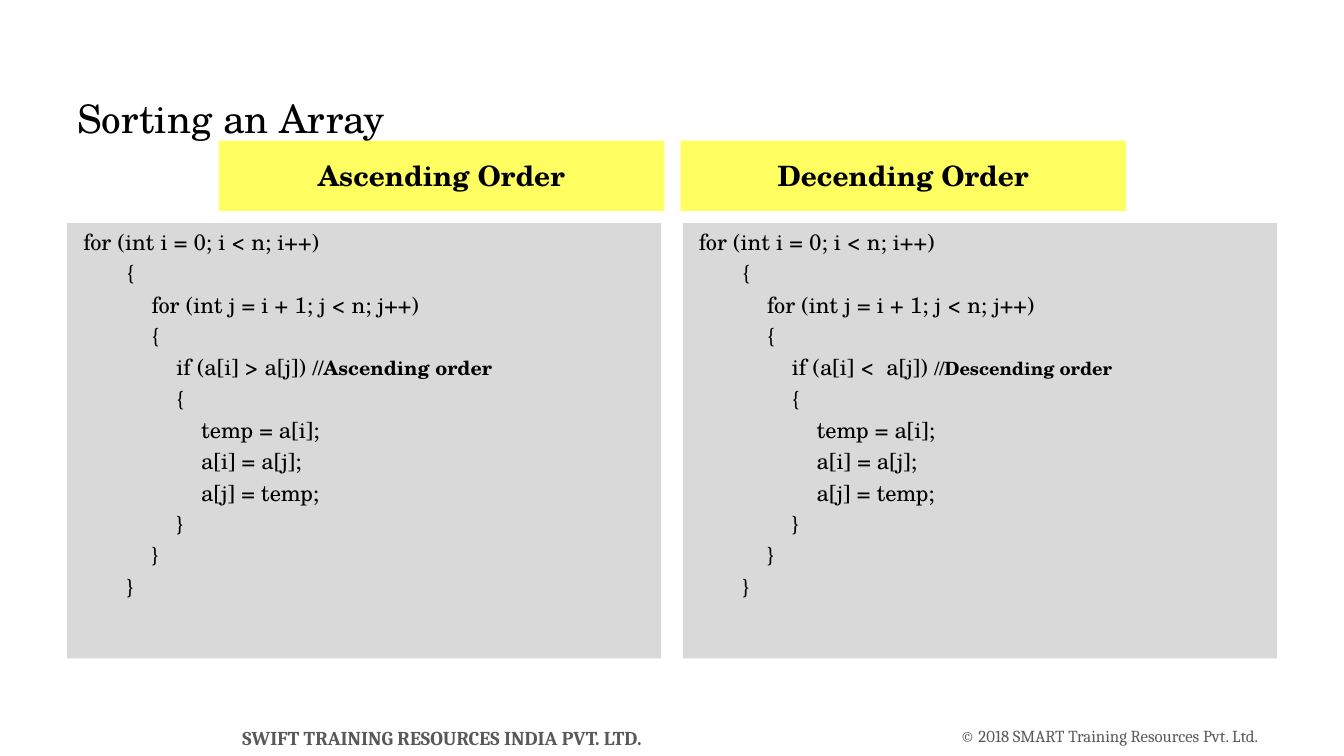
"""Build the slide that compares ascending and descending array sorts."""
from dataclasses import dataclass

import pptx
import pptx.dml.color
import pptx.enum.shapes
import pptx.enum.text
import pptx.util

ALIGN = pptx.enum.text.PP_ALIGN
ANCHOR = pptx.enum.text.MSO_ANCHOR


@dataclass(frozen=True)
class Theme:
    """Fonts, colours and type sizes of the slide."""
    body: str = "TeX Gyre Schola"
    footer: str = "Cambria"
    ink: str = "000000"
    muted: str = "595959"
    yellow: str = "FFFF61"
    grey: str = "D9D9D9"
    title_size: int = 28
    heading_size: int = 20
    code_size: int = 16
    space_share: float = 0.2


@dataclass(frozen=True)
class Box:
    """A rectangle in percent of the slide's width and height."""
    left: float
    top: float
    width: float
    height: float


@dataclass(frozen=True)
class Sort:
    """One sorting direction with its heading and code."""
    heading: str
    heading_left: float
    code_left: float
    test: str
    comment: str
    comment_size: int


@dataclass(frozen=True)
class Footer:
    """One line of text at the foot of the slide."""
    text: str
    box: Box
    size: int
    bold: bool


THEME = Theme()
TITLE_BOX = Box(5, 11.1, 90, 8.9)
HEADING_TOP, HEADING_WIDTH, HEADING_HEIGHT = 18.6, 33.15, 9.3
CODE_TOP, CODE_WIDTH, CODE_HEIGHT = 29.5, 44.2, 57.6

SORTS = [
    Sort("Ascending Order", 16.28, 5, "if (a[i] > a[j]) ", "//Ascending order", 14),
    Sort("Decending Order", 50.63, 50.8, "if (a[i] <  a[j]) ", "//Descending order", 13),
]
FOOTERS = [
    Footer("SWIFT TRAINING RESOURCES INDIA PVT. LTD.", Box(8.3, 96, 49.2, 3.2), 14, True),
    Footer("© 2018 SMART Training Resources Pvt. Ltd.", Box(70.6, 96, 23.9, 2.7), 12, False),
]


def code_lines(test: str) -> list[str]:
    """Return the nested loops around the given test, indented by depth."""
    steps = [(2, "{"), (3, "for (int j = i + 1; j < n; j++)"), (3, "{"), (4, test), (4, "{"),
             (5, "temp = a[i];"), (5, "a[i] = a[j];"), (5, "a[j] = temp;"),
             (4, "}"), (3, "}"), (2, "}")]
    return [" for (int i = 0; i < n; i++)"] + [" " * 4 * depth + code for depth, code in steps]


def place(prs, box: Box) -> tuple[int, int, int, int]:
    """Turn percentages into slide lengths."""
    w, h = prs.slide_width, prs.slide_height
    return (int(w * box.left / 100), int(h * box.top / 100),
            int(w * box.width / 100), int(h * box.height / 100))


def style(r, size: float, font: str = THEME.body, colour: str = THEME.ink,
          bold: bool = False) -> None:
    """Format one run."""
    r.font.name = font
    r.font.size = pptx.util.Pt(size)
    r.font.bold = bold
    r.font.color.rgb = pptx.dml.color.RGBColor.from_string(colour)


def add_panel(prs, s, box: Box, fill: str, anchor):
    """Add a filled rectangle and return its text frame."""
    sp = s.shapes.add_shape(pptx.enum.shapes.MSO_SHAPE.RECTANGLE, *place(prs, box))
    sp.shadow.inherit = False
    sp.fill.solid()
    sp.fill.fore_color.rgb = pptx.dml.color.RGBColor.from_string(fill)
    sp.line.fill.background()
    tf = sp.text_frame
    tf.word_wrap = True
    tf.vertical_anchor = anchor
    return tf


def add_title(prs, s, text: str) -> None:
    """Fill, move and format the title placeholder."""
    sp = s.shapes.title
    sp.left, sp.top, sp.width, sp.height = place(prs, TITLE_BOX)
    tf = sp.text_frame
    tf.text = text
    tf.vertical_anchor = ANCHOR.MIDDLE
    tf.auto_size = pptx.enum.text.MSO_AUTO_SIZE.NONE
    p = tf.paragraphs[0]
    p.alignment = ALIGN.LEFT
    style(p.runs[0], THEME.title_size)


def add_sort(prs, s, sort: Sort) -> None:
    """Add the heading and the code panel of one direction."""
    heading = Box(sort.heading_left, HEADING_TOP, HEADING_WIDTH, HEADING_HEIGHT)
    tf = add_panel(prs, s, heading, THEME.yellow, ANCHOR.MIDDLE)
    tf.text = sort.heading
    p = tf.paragraphs[0]
    p.alignment = ALIGN.CENTER
    style(p.runs[0], THEME.heading_size, bold=True)

    panel = Box(sort.code_left, CODE_TOP, CODE_WIDTH, CODE_HEIGHT)
    tf = add_panel(prs, s, panel, THEME.grey, ANCHOR.TOP)
    for i, line in enumerate(code_lines(sort.test)):
        p = tf.add_paragraph() if i else tf.paragraphs[0]
        p.text = line
        p.alignment = ALIGN.LEFT
        if i:
            p.space_before = pptx.util.Pt(THEME.code_size * THEME.space_share)
        style(p.runs[0], THEME.code_size)
        if line.endswith(sort.test):
            r = p.add_run()
            r.text = sort.comment
            style(r, sort.comment_size, bold=True)


def add_footer(prs, s, footer: Footer) -> None:
    """Add one centred footer line."""
    tf = s.shapes.add_textbox(*place(prs, footer.box)).text_frame
    tf.margin_left = tf.margin_right = tf.margin_top = tf.margin_bottom = 0
    tf.vertical_anchor = ANCHOR.MIDDLE
    tf.word_wrap = footer.bold
    tf.text = footer.text
    p = tf.paragraphs[0]
    p.alignment = ALIGN.CENTER
    style(p.runs[0], footer.size, THEME.footer, THEME.muted, footer.bold)


def main() -> None:
    """Build and save the presentation."""
    prs = pptx.Presentation()
    prs.slide_width = pptx.util.Inches(13.33)
    prs.slide_height = pptx.util.Inches(7.5)
    s = prs.slides.add_slide(prs.slide_layouts.get_by_name("Title Only"))
    add_title(prs, s, "Sorting an Array")
    for footer in FOOTERS:
        add_footer(prs, s, footer)
    for sort in SORTS:
        add_sort(prs, s, sort)
    prs.save("out.pptx")


if __name__ == "__main__":
    main()
